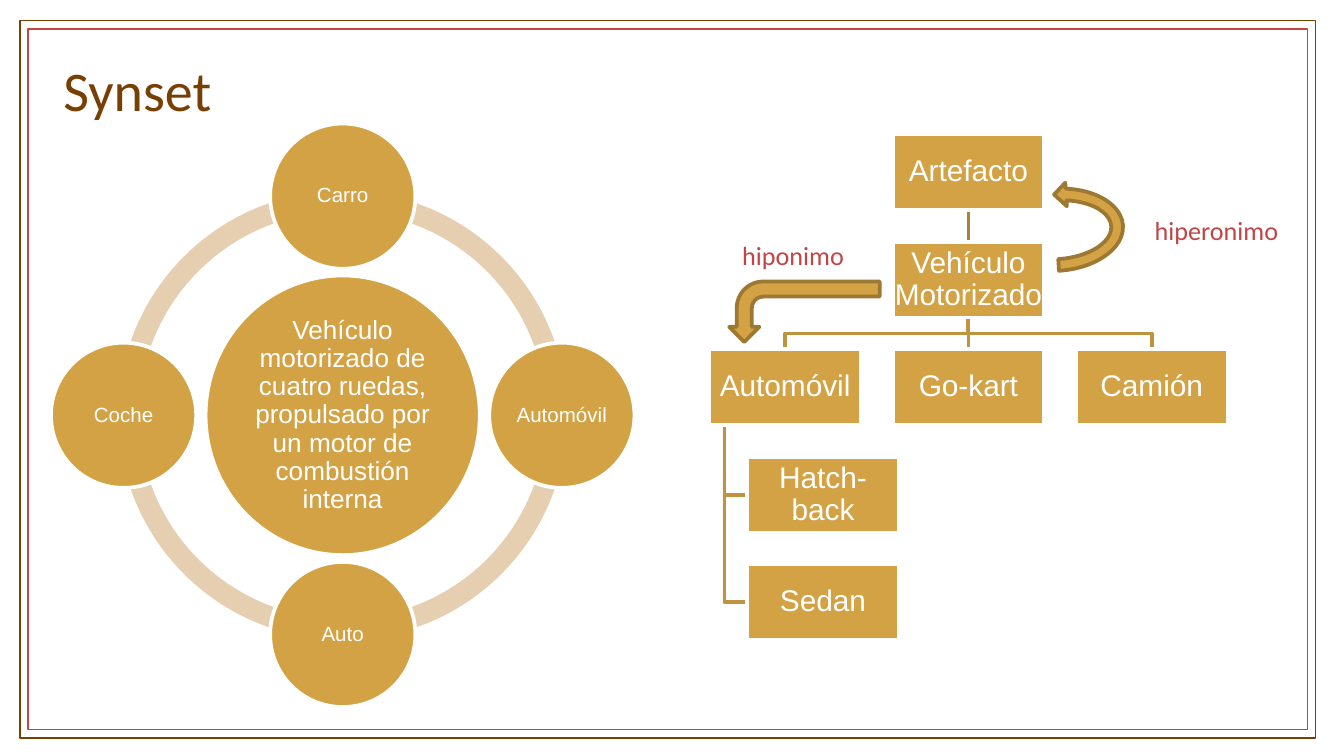
from math import cos, radians, sin

from lxml import etree
from pptx import Presentation
from pptx import util as u
from pptx.dml.color import RGBColor
from pptx.enum import shapes, text
from pptx.oxml.ns import qn

GOLD, WHITE, RED, BROWN = "D3A245", "FFFFFF", "C24445", "783F04"
KIND = shapes.MSO_SHAPE
ALIGN = text.PP_ALIGN
BOX_W, BOX_H, COL_STEP, ROW_STEP = 81.2, 40.6, 98.2, 57.6
TREE_LEFT, TREE_TOP, LEAF_LEFT = 380, 72, 400.3


def colour(value):
    return RGBColor.from_string(value)


def set_line(item, value, width):
    item.line.color.rgb = colour(value)
    item.line.width = u.Pt(width)


def add_shape(page, kind, left, top, width, height, fill=None, line=None, weight=2):
    shape = page.shapes.add_shape(kind, u.Pt(left), u.Pt(top), u.Pt(width), u.Pt(height))
    shape.shadow.inherit = False
    if fill:
        shape.fill.solid()
        shape.fill.fore_color.rgb = colour(fill)
    else:
        shape.fill.background()
    if line:
        set_line(shape, line, weight)
    else:
        shape.line.fill.background()
    return shape


def write(shape, words, size, font, value, align, inset, spacing=None):
    frame = shape.text_frame
    frame.word_wrap = True
    frame.vertical_anchor = text.MSO_ANCHOR.MIDDLE
    frame.margin_left = frame.margin_right = u.Pt(inset)
    frame.margin_top = frame.margin_bottom = u.Pt(inset)
    para = frame.paragraphs[0]
    para.alignment = align
    if spacing:
        para.line_spacing = spacing
    span = para.add_run()
    span.text = words
    span.font.size = u.Pt(size)
    span.font.name = font
    span.font.color.rgb = colour(value)


def add_label(page, words, left, top, width, height, size, value, align):
    box = page.shapes.add_textbox(u.Pt(left), u.Pt(top), u.Pt(width), u.Pt(height))
    write(box, words, size, "Calibri", value, align, 7.2)


def add_circle(page, words, x, y, width, height, size):
    circle = add_shape(page, KIND.OVAL, x - width / 2, y - height / 2, width, height, GOLD, WHITE)
    write(circle, words, size, "Arial", WHITE, ALIGN.CENTER, 1.2, 0.9)


def add_cycle(page, x, y):
    size, orbit = 240.5, 117.4
    for start in (108, 54, 0, 162):
        arc = add_shape(page, KIND.BLOCK_ARC, x - size / 2, y - size / 2, size, size, "E6CEB1")
        arc.adjustments[0] = start
        arc.adjustments[1] = (start + 54) % 216
        arc.adjustments[2] = 0.046
    add_circle(page, "Vehículo motorizado de cuatro ruedas, propulsado por un motor "
               "de combustión interna", x, y, 146.9, 149.8, 14)
    for index, words in enumerate(("Carro", "Automóvil", "Auto", "Coche")):
        angle = radians(90 * index - 90)
        add_circle(page, words, x + orbit * cos(angle), y + orbit * sin(angle), 77.8, 77.8, 11)


def add_box(page, words, left, row):
    box = add_shape(page, KIND.RECTANGLE, left, TREE_TOP + row * ROW_STEP,
                    BOX_W, BOX_H, GOLD, WHITE)
    write(box, words, 16, "Arial", WHITE, ALIGN.CENTER, 0.7, 0.9)
    return box


def send_back(page, item):
    page.shapes._spTree.insert(2, item._element)


def add_link(page, parent, child, value):
    link = page.shapes.add_connector(shapes.MSO_CONNECTOR.STRAIGHT, 0, 0, 0, 0)
    link.begin_connect(parent, 2)
    link.end_connect(child, 0)
    set_line(link, value, 2)
    etree.SubElement(link._element.spPr, qn("a:effectLst"))
    send_back(page, link)


def add_elbow(page, points):
    places = [(u.Pt(x), u.Pt(y)) for x, y in points]
    builder = page.shapes.build_freeform(*places[0])
    builder.add_line_segments(places[1:], close=False)
    elbow = builder.convert_to_shape()
    elbow.shadow.inherit = False
    elbow.fill.background()
    set_line(elbow, "BF933F", 2)
    send_back(page, elbow)


def add_tree(page):
    columns = [TREE_LEFT + index * COL_STEP for index in range(3)]
    root = add_box(page, "Artefacto", columns[1], 0)
    vehicle = add_box(page, "Vehículo Motorizado", columns[1], 1)
    kinds = [add_box(page, words, left, 2)
             for words, left in zip(("Automóvil", "Go-kart", "Camión"), columns)]
    add_link(page, root, vehicle, "A98237")
    add_link(page, vehicle, kinds[1], "BF933F")

    bottom = TREE_TOP + ROW_STEP + BOX_H
    top = TREE_TOP + 2 * ROW_STEP
    middle = (bottom + top) / 2
    start = columns[1] + BOX_W / 2
    for left in (columns[0], columns[2]):
        end = left + BOX_W / 2
        add_elbow(page, [(start, bottom), (start, middle), (end, middle), (end, top)])

    trunk = TREE_LEFT + BOX_W / 10
    for row, words in enumerate(("Hatch-back", "Sedan"), start=3):
        add_box(page, words, LEAF_LEFT, row)
        y = TREE_TOP + row * ROW_STEP + BOX_H / 2
        add_elbow(page, [(trunk, top + BOX_H), (trunk, y), (LEAF_LEFT, y)])


def add_arrow(page, kind, left, top, width, height, rotation, flip):
    arrow = add_shape(page, kind, left, top, width, height, GOLD, "9C7833")
    arrow.rotation = rotation
    arrow._element.spPr.find(qn("a:xfrm")).set(flip, "1")


def main():
    deck = Presentation()
    deck.slide_width, deck.slide_height = u.Pt(720), u.Pt(405)
    page = deck.slides.add_slide(deck.slide_layouts[6])
    add_shape(page, KIND.RECTANGLE, 10.8, 10.9, 694.1, 384.5, line=BROWN, weight=0.75)
    add_shape(page, KIND.RECTANGLE, 15, 15.6, 685.4, 375.1, line=RED, weight=0.75)
    add_label(page, "Synset", 26.9, 25.2, 607, 45.4, 30, BROWN, ALIGN.LEFT)
    add_cycle(page, 183.6, 222.5)
    add_tree(page)
    add_arrow(page, KIND.CIRCULAR_ARROW, 540.7, 84.2, 50.4, 77.8, 266.3, "flipV")
    add_arrow(page, KIND.BENT_ARROW, 414.7, 126.7, 32.4, 80.6, 270, "flipH")
    add_label(page, "hiperonimo", 600.5, 109.4, 91.4, 27.4, 14, RED, ALIGN.RIGHT)
    add_label(page, "hiponimo", 367.9, 123.1, 91.4, 27.4, 14, RED, ALIGN.RIGHT)
    deck.save("out.pptx")


if __name__ == "__main__":
    main()
